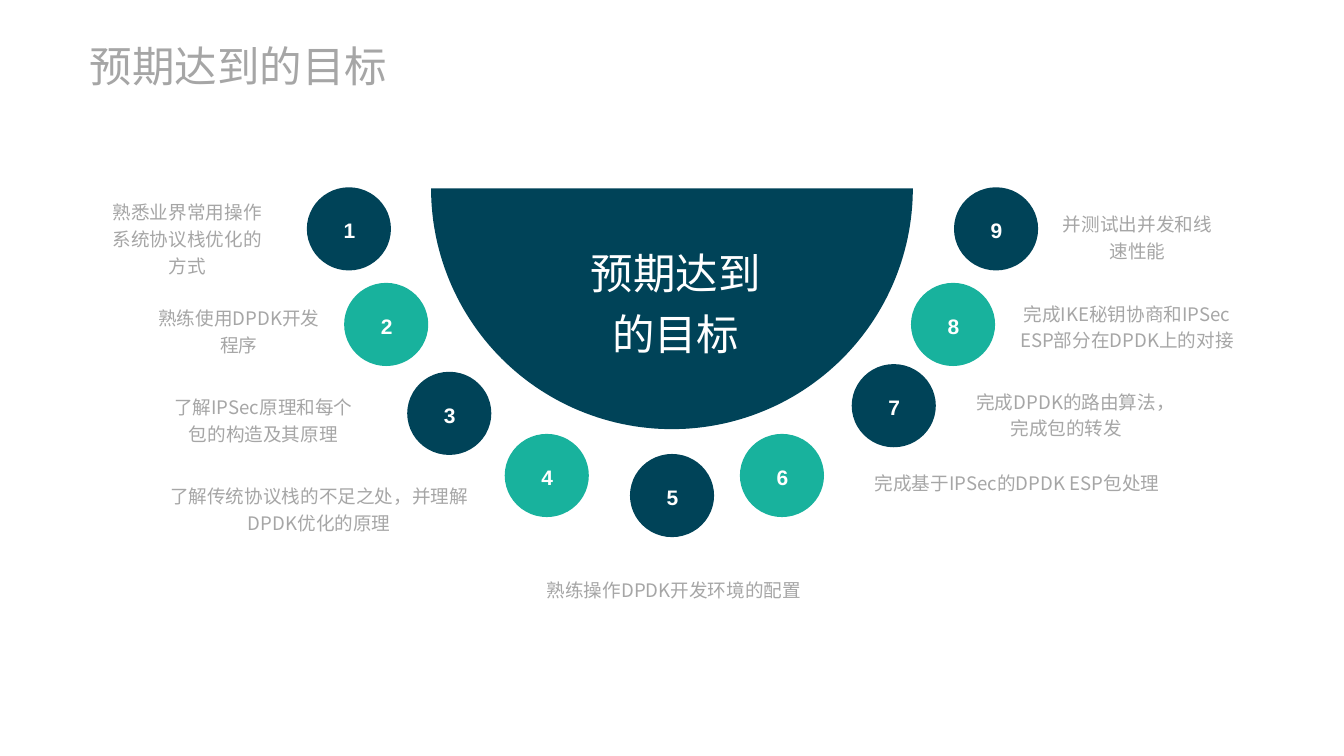
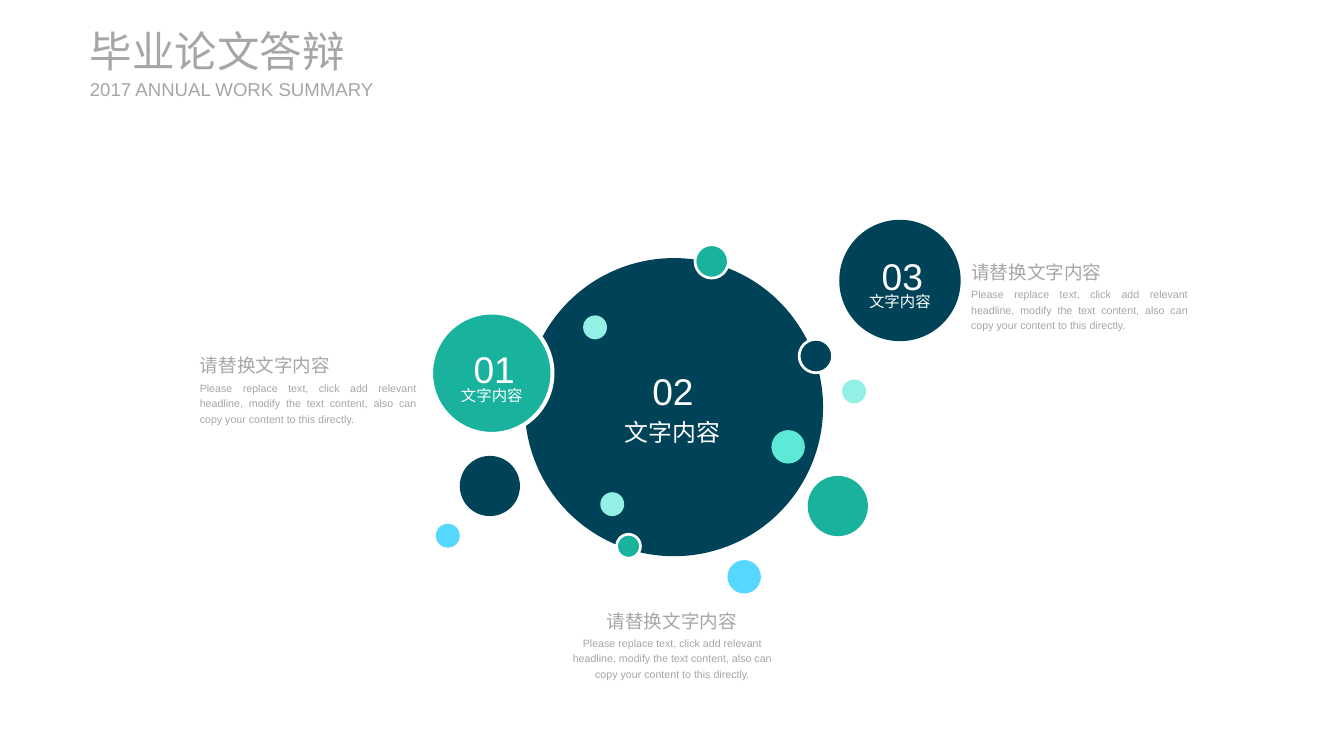
from math import cos, pi, sin

from lxml import etree
from pptx import Presentation
from pptx.dml.color import RGBColor
from pptx.enum.shapes import MSO_SHAPE
from pptx.enum.text import MSO_ANCHOR, PP_ALIGN
from pptx.oxml.ns import qn
from pptx.util import Inches, Pt

COLORS = {
    "navy": "004358", "teal": "18B29D", "aqua": "5CE9D6", "mint": "92F0E4",
    "sky": "56D7FF", "gray": "A6A6A6", "white": "FFFFFF",
}
CJK_FONT = "Noto Sans CJK SC"

# Text styles
BASE = {"font": "Arial", "color": "gray", "bold": False, "align": PP_ALIGN.CENTER,
        "anchor": MSO_ANCHOR.MIDDLE, "spacing": 1.2, "inset": 0}
TITLE = {**BASE, "size": 32, "align": PP_ALIGN.LEFT, "spacing": 1.0}
SUBTITLE = {**TITLE, "size": 14}
HUB = {**BASE, "size": 32, "font": CJK_FONT, "color": "white"}
GOAL = {**BASE, "size": 14, "font": CJK_FONT}
NUMBER = {**BASE, "size": 15.8, "color": "white", "bold": True, "inset": 0.11}
INDEX = {**BASE, "size": 28, "color": "white", "anchor": MSO_ANCHOR.TOP}
LABEL = {**BASE, "size": 11.6, "color": "white"}
BIG_LABEL = {**LABEL, "size": 18}
HEADING = {**BASE, "size": 14, "anchor": MSO_ANCHOR.TOP}
DETAIL = {**HEADING, "size": 8}

# Slide 1: goal text, its box, and the left and top of its numbered disc
GOALS_TITLE = "预期达到的目标"
GOALS = [
    ("熟悉业界常用操作系统协议栈优化的方式", (1.11, 2.07, 1.7, 0.82), (3.21, 1.96)),
    ("熟练使用DPDK开发程序", (1.65, 3.18, 1.7, 0.54), (3.6, 2.96)),
    ("了解IPSec原理和每个包的构造及其原理", (1.78, 4.11, 1.95, 0.54), (4.26, 3.89)),
    ("了解传统协议栈的不足之处，并理解DPDK优化的原理", (1.78, 5.04, 3.12, 0.54), (5.28, 4.54)),
    ("熟练操作DPDK开发环境的配置", (5.49, 6.02, 3.12, 0.26), (6.59, 4.75)),
    ("完成基于IPSec的DPDK ESP包处理", (9.08, 4.9, 3.12, 0.26), (7.74, 4.54)),
    ("完成DPDK的路由算法，完成包的转发", (10.18, 4.05, 1.95, 0.54), (8.91, 3.81)),
    ("完成IKE秘钥协商和IPSec ESP部分在DPDK上的对接", (10.57, 3.13, 2.44, 0.54), (9.53, 2.96)),
    ("并测试出并发和线速性能", (11.05, 2.19, 1.7, 0.54), (9.98, 1.96)),
]

# Slide 2: bubbles as left, top, diameter, fill, width of white outline
BUBBLES = [
    (5.49, 2.7, 3.12, "navy", 0),
    (7.27, 2.56, 0.35, "teal", 2),
    (6.45, 5.59, 0.25, "teal", 2),
    (8.81, 3.97, 0.25, "mint", 0),
    (7.61, 5.86, 0.35, "sky", 0),
    (6.1, 3.3, 0.25, "mint", 0),
    (4.51, 3.27, 1.27, "teal", 3),
    (8.07, 4.5, 0.35, "aqua", 0),
    (4.81, 4.77, 0.63, "navy", 0),
    (8.78, 2.3, 1.27, "navy", 0),
    (8.36, 3.55, 0.35, "navy", 2),
    (4.56, 5.48, 0.25, "sky", 0),
    (6.28, 5.15, 0.25, "mint", 0),
    (8.45, 4.98, 0.63, "teal", 0),
]
BUBBLE_LABEL = "文字内容"
# Index, its left and top, label box, label style
BUBBLE_TEXTS = [
    ("01", (4.84, 3.53), (4.59, 4.01, 1.11, 0.21), LABEL),
    ("02", (6.71, 3.76), (6.48, 4.33, 1.11, 0.33), BIG_LABEL),
    ("03", (9.11, 2.56), (8.86, 3.03, 1.11, 0.21), LABEL),
]
NOTE_HEADING = "请替换文字内容"
NOTE_DETAIL = ("Please replace text, click add relevant headline, modify the text "
               "content, also can copy your content to this directly.")
# Left of heading, left of detail, top, alignment
NOTES = [
    (2.09, 2.09, 3.66, PP_ALIGN.JUSTIFY),
    (6.17, 5.9, 6.33, PP_ALIGN.CENTER),
    (10.16, 10.16, 2.68, PP_ALIGN.JUSTIFY),
]


def rgb(name):
    return RGBColor.from_string(COLORS[name])


def add_text(page, text, place, style):
    box = page.shapes.add_textbox(*map(Inches, place))
    frame = box.text_frame
    inset = Inches(style["inset"])
    frame_format = {"word_wrap": True, "vertical_anchor": style["anchor"],
                    "margin_left": 0, "margin_right": 0,
                    "margin_top": inset, "margin_bottom": inset}
    for name, value in frame_format.items():
        setattr(frame, name, value)
    para = frame.paragraphs[0]
    para.alignment = style["align"]
    para.line_spacing = style["spacing"]
    span = para.add_run()
    span.text = text
    font_format = {"name": style["font"], "size": Pt(style["size"]), "bold": style["bold"]}
    for name, value in font_format.items():
        setattr(span.font, name, value)
    span.font.color.rgb = rgb(style["color"])
    # East Asian typeface
    etree.SubElement(span.font._element, qn("a:ea"), typeface=CJK_FONT)


def paint(shape, color, outline=0):
    shape.shadow.inherit = False
    shape.fill.solid()
    shape.fill.fore_color.rgb = rgb(color)
    if outline:
        shape.line.color.rgb = rgb("white")
        shape.line.width = Pt(outline)
    else:
        shape.line.fill.background()


def add_disc(page, left, top, width, height, color, outline=0):
    disc = page.shapes.add_shape(
        MSO_SHAPE.OVAL, *map(Inches, (left, top, width, height)))
    paint(disc, color, outline)


def add_half_disc(page, center, top, radius, color, steps=120):
    points = [(Inches(center + radius * cos(pi * step / steps)),
               Inches(top + radius * sin(pi * step / steps)))
              for step in range(steps + 1)]
    builder = page.shapes.build_freeform(*points[0])
    builder.add_line_segments(points[1:], close=True)
    paint(builder.convert_to_shape(), color)


def build_goals(page):
    add_text(page, GOALS_TITLE, (0.94, 0.42, 4.32, 0.54), TITLE)
    add_half_disc(page, 7.03, 1.97, 2.52, "navy")
    add_text(page, GOALS_TITLE, (5.99, 2.5, 2.16, 1.24), HUB)
    for number, (goal, place, (left, top)) in enumerate(GOALS, 1):
        add_disc(page, left, top, 0.88, 0.87, "navy" if number % 2 else "teal")
        add_text(page, str(number), (left + 0.11, top + 0.15, 0.67, 0.55), NUMBER)
        add_text(page, goal, place, GOAL)


def build_bubbles(page):
    add_text(page, "毕业论文答辩", (0.94, 0.26, 4.32, 0.54), TITLE)
    add_text(page, "2017 ANNUAL WORK SUMMARY", (0.94, 0.81, 3.07, 0.24), SUBTITLE)
    for left, top, size, color, outline in BUBBLES:
        add_disc(page, left, top, size, size, color, outline)
    for index, corner, label_place, label_style in BUBBLE_TEXTS:
        add_text(page, BUBBLE_LABEL, label_place, label_style)
        add_text(page, index, (*corner, 0.66, 0.51), INDEX)
    for heading_left, detail_left, top, align in NOTES:
        add_text(page, NOTE_HEADING, (heading_left, top, 1.72, 0.28),
                 {**HEADING, "align": align})
        add_text(page, NOTE_DETAIL, (detail_left, top + 0.31, 2.27, 0.47),
                 {**DETAIL, "align": align})


def main():
    deck = Presentation()
    deck.slide_width, deck.slide_height = Inches(14.06), Inches(7.91)
    for build in (build_goals, build_bubbles):
        build(deck.slides.add_slide(deck.slide_layouts[6]))
    deck.save("out.pptx")


if __name__ == "__main__":
    main()
